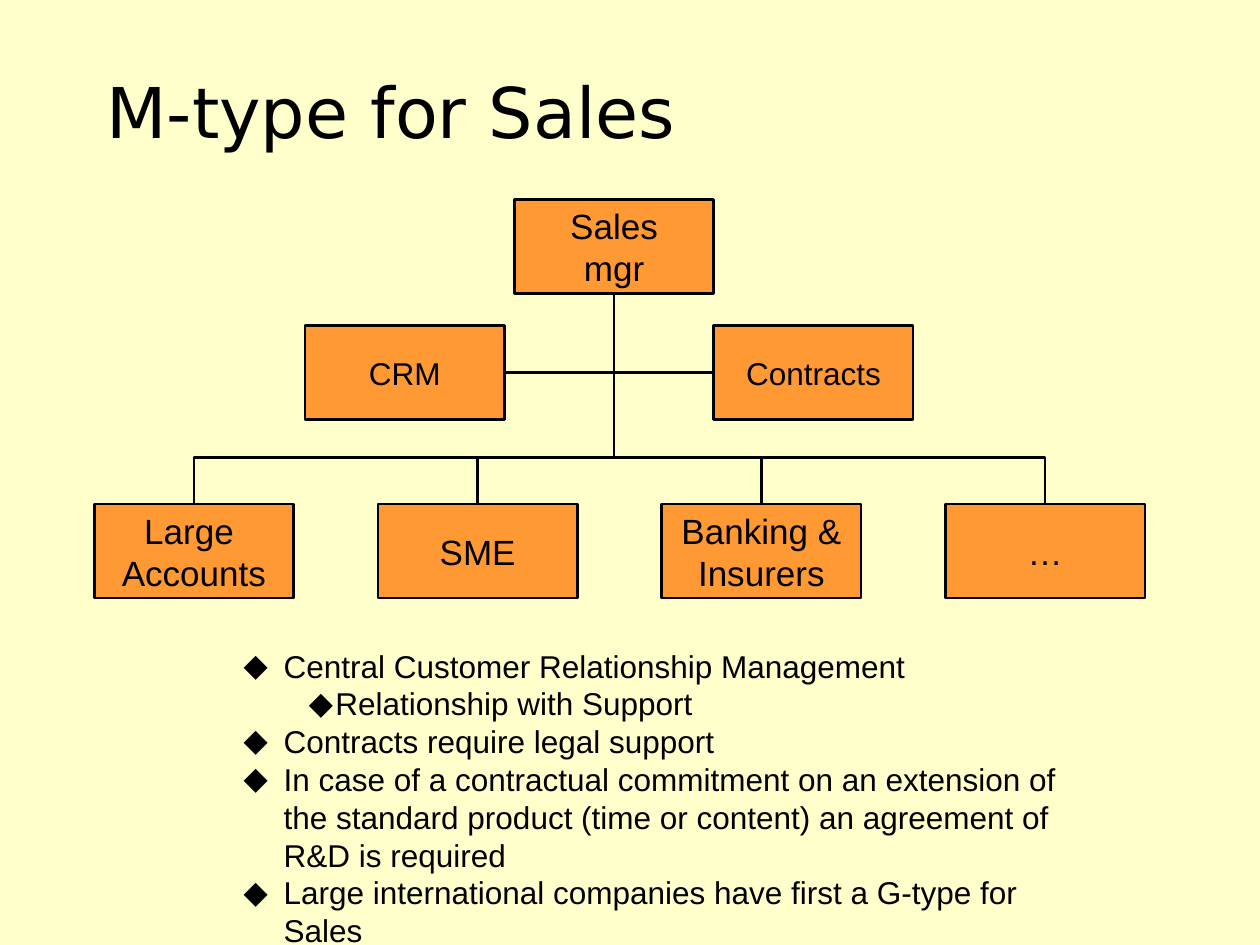
from dataclasses import dataclass
from typing import Any

from lxml.etree import SubElement
from pptx import Presentation
from pptx.dml.color import RGBColor
from pptx.enum.shapes import MSO_CONNECTOR, MSO_SHAPE
from pptx.enum.text import MSO_ANCHOR, MSO_AUTO_SIZE, PP_ALIGN
from pptx.oxml.ns import qn
from pptx.util import Cm, Pt


@dataclass(frozen=True)
class Theme:
    paper: RGBColor = RGBColor(0xFF, 0xFF, 0xCC)
    box: RGBColor = RGBColor(0xFF, 0x99, 0x33)
    ink: RGBColor = RGBColor(0, 0, 0)
    font: str = "Arial"
    head: str = "DejaVu Sans"
    mark: str = "DejaVu Sans"  # bullet font, as Arial has no diamond
    title: int = 40
    unit: int = 20
    body: int = 18
    line: float = 1.5


@dataclass(frozen=True)
class Unit:
    """One box of the chart, placed in centimetres."""
    lines: tuple[str, ...]
    left: float
    top: float
    size: int
    wide: float = 4.02
    high: float = 1.9

    @property
    def mid(self) -> float:
        return self.left + self.wide / 2


@dataclass(frozen=True)
class Note:
    text: str
    level: int = 0


THEME = Theme()
BOSS = Unit(("Sales", "mgr"), 10.37, 4.02, THEME.unit)
CRM = Unit(("CRM",), 6.15, 6.56, THEME.body)
LEGAL = Unit(("Contracts",), 14.39, 6.56, THEME.body)
TEAMS = [
    Unit((name,), 1.9 + 5.72 * col, 10.16, THEME.unit)
    for col, name in enumerate(
        ("Large \nAccounts", "SME", "Banking &\nInsurers", "…"))
]
NOTES = [
    Note("Central Customer Relationship Management"),
    Note("Relationship with Support", 1),
    Note("Contracts require legal support"),
    Note("In case of a contractual commitment on an extension of the standard "
         "product (time or content) an agreement of R&D is required"),
    Note("Large international companies have first a G-type for Sales"),
]
INDENTS = ((0.81, 0.81), (1.85, 0.53))  # left margin and hang per level
BEND = 0.22  # share of the rise below the shared bar


def write(frame: Any, notes: list[Note], *, size: int, font: str = THEME.font,
          align: PP_ALIGN = PP_ALIGN.LEFT, anchor: MSO_ANCHOR = MSO_ANCHOR.TOP,
          wrap: bool = True, bullet: str = "") -> None:
    frame.word_wrap = wrap
    frame.vertical_anchor = anchor
    for num, note in enumerate(notes):
        par = frame.add_paragraph() if num else frame.paragraphs[0]
        par.text = note.text
        par.level = note.level
        par.alignment = align
        if bullet:
            left, hang = INDENTS[note.level]
            props = par._p.get_or_add_pPr()
            props.set("marL", str(Cm(left)))
            props.set("indent", str(-Cm(hang)))
            SubElement(props, qn("a:buFont")).set("typeface", THEME.mark)
            SubElement(props, qn("a:buChar")).set("char", bullet)
        par.font.size = Pt(size)
        par.font.name = font
        par.font.color.rgb = THEME.ink


def draw_unit(slide: Any, unit: Unit) -> None:
    shape = slide.shapes.add_shape(
        MSO_SHAPE.RECTANGLE, Cm(unit.left), Cm(unit.top), Cm(unit.wide), Cm(unit.high))
    shape.shadow.inherit = False
    shape.fill.solid()
    shape.fill.fore_color.rgb = THEME.box
    shape.line.color.rgb = THEME.ink
    shape.line.width = Pt(THEME.line)
    write(shape.text_frame, [Note(line) for line in unit.lines], size=unit.size,
          align=PP_ALIGN.CENTER, anchor=MSO_ANCHOR.MIDDLE, wrap=False)


def link(slide: Any, kind: MSO_CONNECTOR, start: tuple[float, float],
         end: tuple[float, float]) -> Any:
    wire = slide.shapes.add_connector(kind, *map(Cm, start + end))
    wire.line.color.rgb = THEME.ink
    wire.line.width = Pt(THEME.line)
    SubElement(wire._element.spPr, qn("a:effectLst"))
    return wire


def link_up(slide: Any, team: Unit, boss: Unit) -> None:
    """Run an elbow from the top of a team up to the foot of its boss.

    The elbow is laid out sideways about its centre, then turned upright.
    """
    foot = boss.top + boss.high
    rise, span = team.top - foot, abs(boss.mid - team.mid)
    x, y = (team.mid + boss.mid) / 2, (team.top + foot) / 2
    side = 1 if team.mid < boss.mid else -1
    wire = link(slide, MSO_CONNECTOR.ELBOW, (x - side * rise / 2, y - span / 2),
                (x + side * rise / 2, y + span / 2))
    props = wire._element.spPr
    props.find(qn("a:xfrm")).set("rot", str((270 if side > 0 else 90) * 60000))
    guide = SubElement(props.find(qn("a:prstGeom")).find(qn("a:avLst")), qn("a:gd"))
    guide.set("name", "adj1")
    guide.set("fmla", f"val {round(BEND * 100000)}")


def main() -> None:
    deck = Presentation()
    deck.slide_width, deck.slide_height = Cm(25.4), Cm(19.05)
    slide = deck.slides.add_slide(deck.slide_layouts[6])
    slide.background.fill.solid()
    slide.background.fill.fore_color.rgb = THEME.paper

    title = slide.shapes.add_textbox(Cm(1.9), Cm(0.64), Cm(20.53), Cm(3.18))
    write(title.text_frame, [Note("M-type for Sales")], size=THEME.title,
          font=THEME.head, anchor=MSO_ANCHOR.MIDDLE)

    for unit in (BOSS, *TEAMS, LEGAL, CRM):
        draw_unit(slide, unit)
    for team in TEAMS:
        link_up(slide, team, BOSS)
    level = CRM.top + CRM.high / 2
    link(slide, MSO_CONNECTOR.STRAIGHT, (CRM.left + CRM.wide, level), (LEGAL.left, level))

    body = slide.shapes.add_textbox(Cm(4.66), Cm(12.91), Cm(17.15), Cm(6.35))
    write(body.text_frame, NOTES, size=THEME.body, bullet="◆")
    body.text_frame.auto_size = MSO_AUTO_SIZE.SHAPE_TO_FIT_TEXT
    deck.save("out.pptx")


if __name__ == "__main__":
    main()
